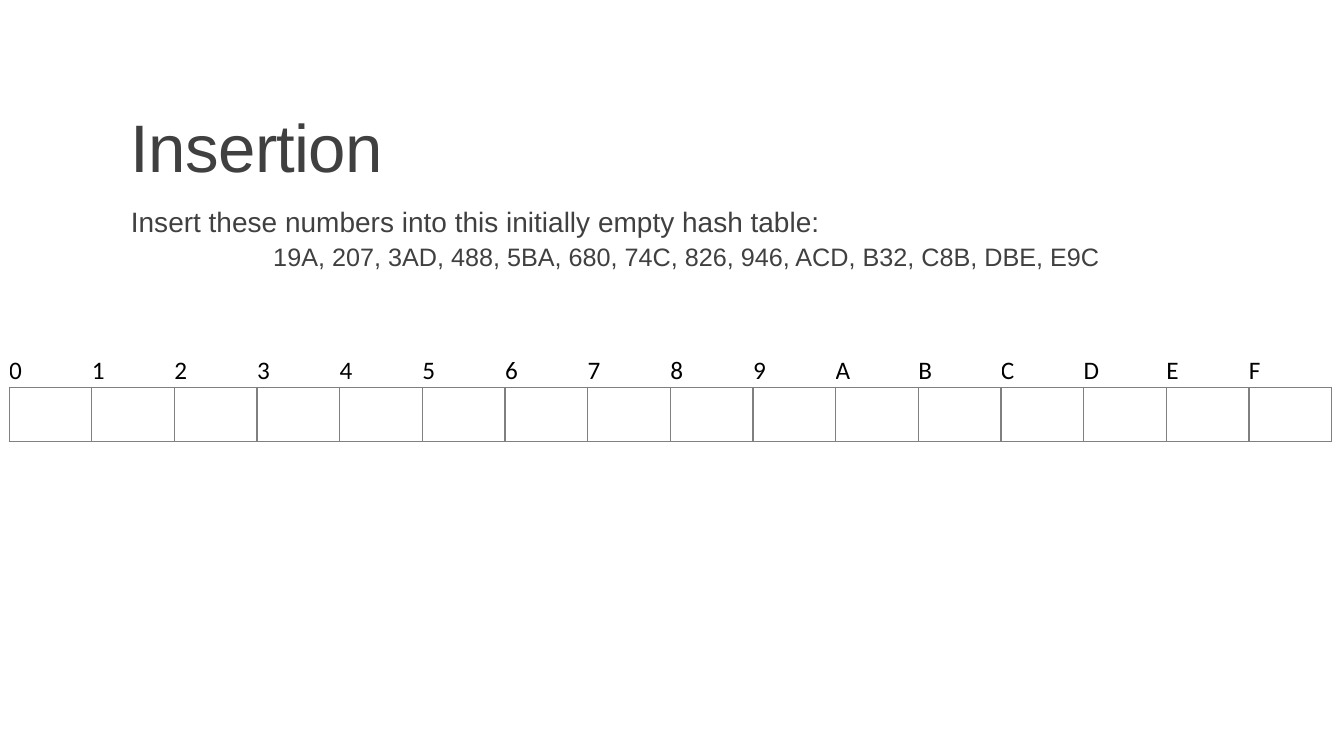
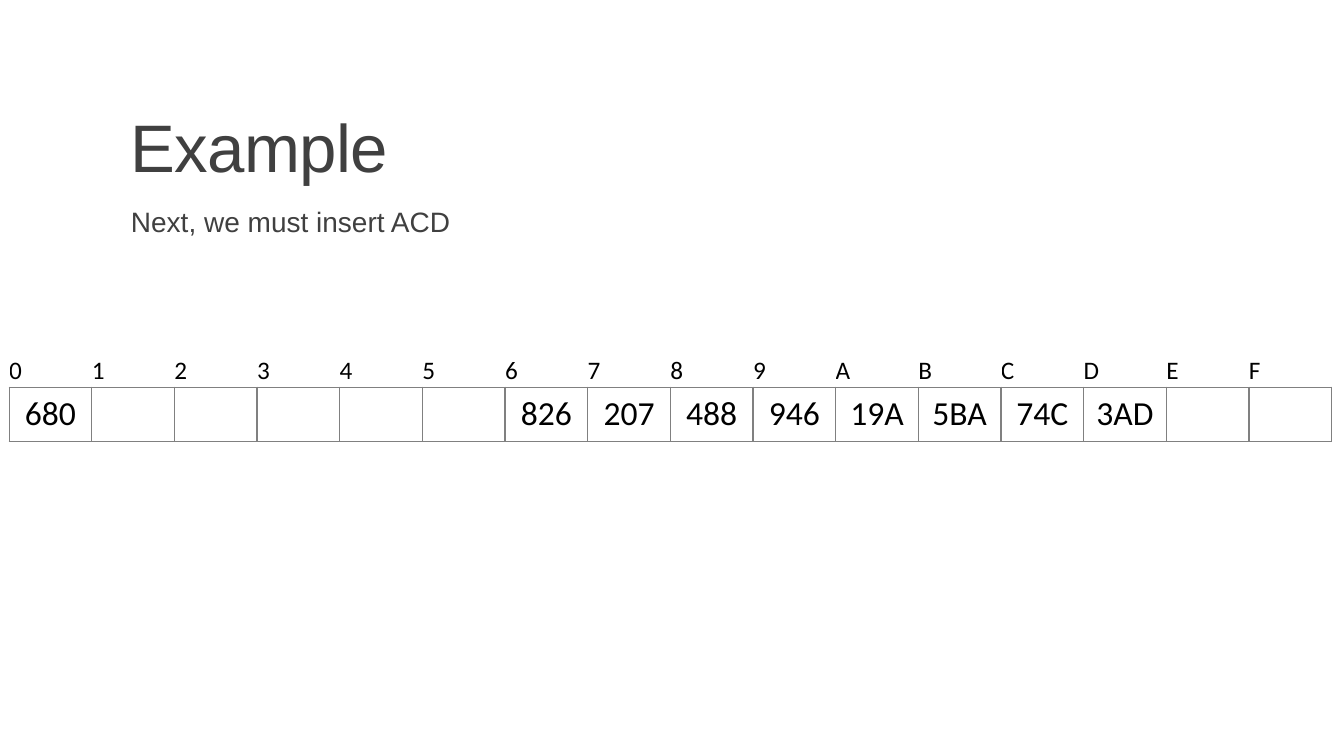
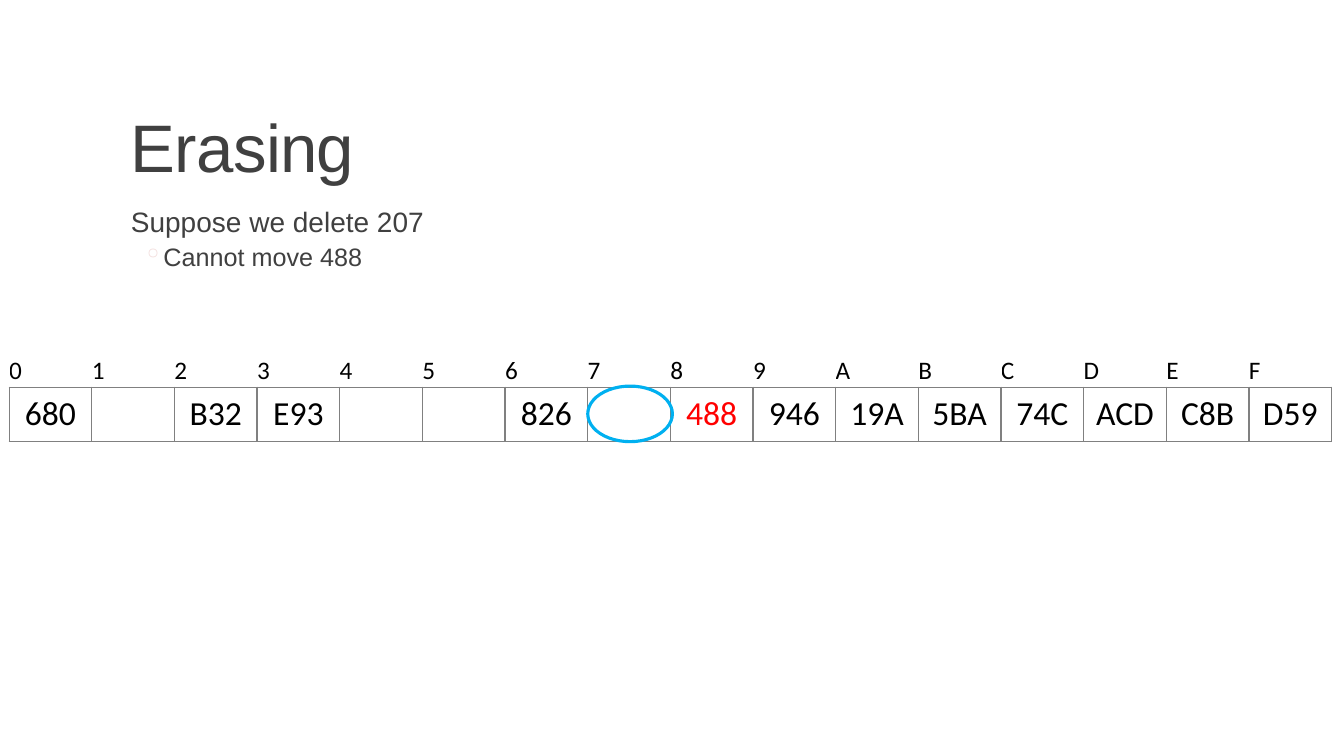
from lxml import etree
from pptx import Presentation, util as u
from pptx.dml.color import RGBColor
from pptx.enum import shapes, text
from pptx.oxml.ns import qn

HUES = {"text": "404040", "cell": "000000", "grid": "808080",
        "bullet": "F2DCDB", "alert": "FF0000", "ring": "00B0F0"}
SLOTS = "0123456789ABCDEF"
ROWS = 0.84, 1.37
TITLE = 3.05, 0.79, 27.94, 4.04
BODY = 3.05, 5.13, 27.94, 11.18
TABLE = 0.23, 8.92, 33.33, sum(ROWS)
MID = text.PP_ALIGN.CENTER

HEAD = {"line_spacing": 0.85}
LEAD = {"line_spacing": 0.9, "space_before": u.Pt(12), "space_after": u.Pt(2)}
SUB = {"line_spacing": 0.9, "space_before": u.Pt(2), "space_after": u.Pt(4)}
FRAME = {"margin_left": 0, "margin_right": 0, "word_wrap": True}
CELL = {"margin_left": 0, "margin_right": 0, "margin_top": 0,
        "margin_bottom": 0, "vertical_anchor": text.MSO_ANCHOR.MIDDLE}


def apply(item, form):
    for key, val in form.items():
        setattr(item, key, val)


def rgb(hue):
    return RGBColor.from_string(HUES[hue])


def cm(box):
    return [u.Cm(n) for n in box]


def node(parent, tag, **attrs):
    return etree.SubElement(parent, qn(tag), attrs)


def write(para, words, size, hue="text", face="Arial"):
    run = para.add_run()
    run.text = words
    apply(run.font, {"size": u.Pt(size), "name": face})
    run.font.color.rgb = rgb(hue)
    return run


def indent(para, left, hang):
    props = para._p.get_or_add_pPr()
    props.set("marL", str(u.Cm(left)))
    props.set("indent", str(-u.Cm(hang)))
    return props


def add_title(slide, box, words):
    frame = slide.shapes.add_textbox(*cm(box)).text_frame
    apply(frame, {"word_wrap": True, "vertical_anchor": text.MSO_ANCHOR.BOTTOM})
    para = frame.paragraphs[0]
    apply(para, HEAD)
    run = write(para, words, 48)
    run.font._element.set("spc", "-50")


def add_body(slide, box, lead, sub=None, bullet=False):
    frame = slide.shapes.add_textbox(*cm(box)).text_frame
    apply(frame, FRAME)
    para = frame.paragraphs[0]
    apply(para, LEAD)
    indent(para, 0.25, 0)
    write(para, lead, 20)
    if not sub:
        return
    para = frame.add_paragraph()
    apply(para, SUB)
    props = indent(para, 1.07, 0.51)
    if bullet:
        node(node(props, "a:buClr"), "a:srgbClr", val=HUES["bullet"])
        node(props, "a:buChar", char="◦")
    else:
        para.alignment = MID
    write(para, sub, 18)


def edge(cell, sides):
    """Draw grid lines on the given sides; must come before the cell's fill."""
    props = cell._tc.get_or_add_tcPr()
    for side in sides:
        line = node(props, "a:ln" + side, w=str(u.Pt(1)))
        fill = node(line, "a:solidFill")
        node(fill, "a:srgbClr", val=HUES["grid"])


def add_hash(slide, box, data, alert=None):
    """Draw slot labels over a row of bins; data maps a slot to its value."""
    table = slide.shapes.add_table(2, len(SLOTS), *cm(box)).table
    apply(table, {"first_row": False, "horz_banding": False})
    for row, high in zip(table.rows, ROWS):
        row.height = u.Cm(high)
    for col, slot in enumerate(SLOTS):
        table.columns[col].width = u.Cm(box[2] / len(SLOTS))
        label, bin = table.cell(0, col), table.cell(1, col)
        for cell, sides in (label, "B"), (bin, "LRTB"):
            apply(cell, CELL)
            edge(cell, sides)
            cell.fill.background()
        write(label.text_frame.paragraphs[0], slot, 18, "cell", "Calibri")
        if slot in data:
            para = bin.text_frame.paragraphs[0]
            para.alignment = MID
            hue = "alert" if slot == alert else "cell"
            write(para, data[slot], 24, hue, "Calibri")


def add_ring(slide, box, slot):
    """Circle the bin of one slot in the hash table that fills box."""
    left, top, width, _ = box
    step = width / len(SLOTS)
    place = (left + SLOTS.index(slot) * step, top + ROWS[0] - 0.03,
             step + 0.05, ROWS[1] + 0.03)
    ring = slide.shapes.add_shape(shapes.MSO_SHAPE.OVAL, *cm(place))
    ring.shadow.inherit = False
    ring.fill.background()
    ring.line.color.rgb = rgb("ring")
    ring.line.width = u.Pt(2.25)


def add_slide(deck, title, body, data, alert=None, ring=None):
    slide = deck.slides.add_slide(deck.slide_layouts[6])
    add_title(slide, TITLE, title)
    add_body(slide, BODY, *body)
    add_hash(slide, TABLE, data, alert)
    if ring:
        add_ring(slide, TABLE, ring)


def main():
    deck = Presentation()
    apply(deck, {"slide_width": u.Cm(33.87), "slide_height": u.Cm(19.05)})
    base = {"0": "680", "6": "826", "8": "488", "9": "946",
            "A": "19A", "B": "5BA", "C": "74C"}
    add_slide(deck, "Insertion",
              ("Insert these numbers into this initially empty hash table:",
               "19A, 207, 3AD, 488, 5BA, 680, 74C, 826, 946, ACD, B32, C8B, DBE, E9C"),
              {})
    add_slide(deck, "Example", ("Next, we must insert ACD",),
              {**base, "7": "207", "D": "3AD"})
    add_slide(deck, "Erasing",
              ("Suppose we delete 207", "Cannot move 488", True),
              {**base, "2": "B32", "3": "E93", "D": "ACD", "E": "C8B", "F": "D59"},
              alert="8", ring="7")
    deck.save("out.pptx")


if __name__ == "__main__":
    main()
